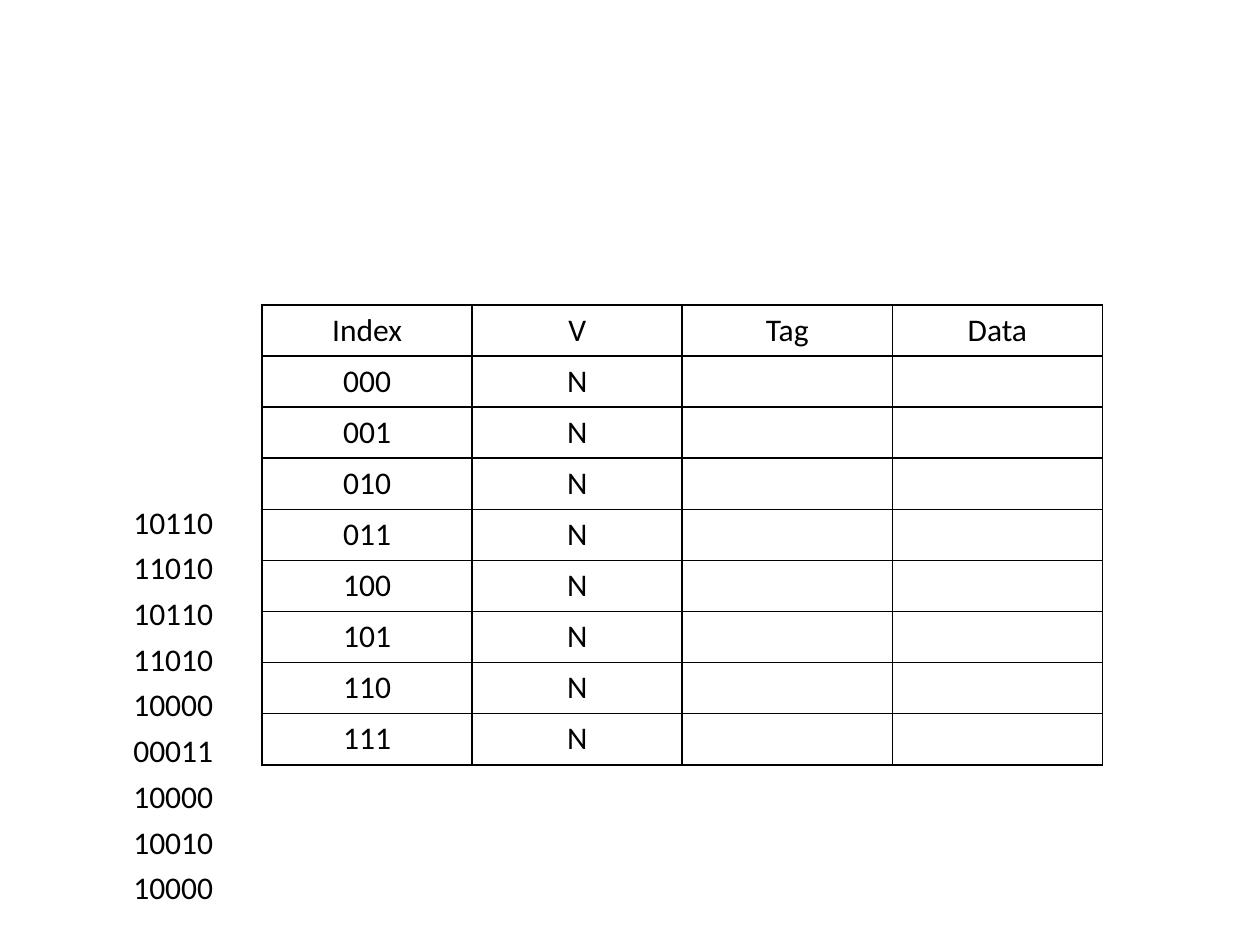
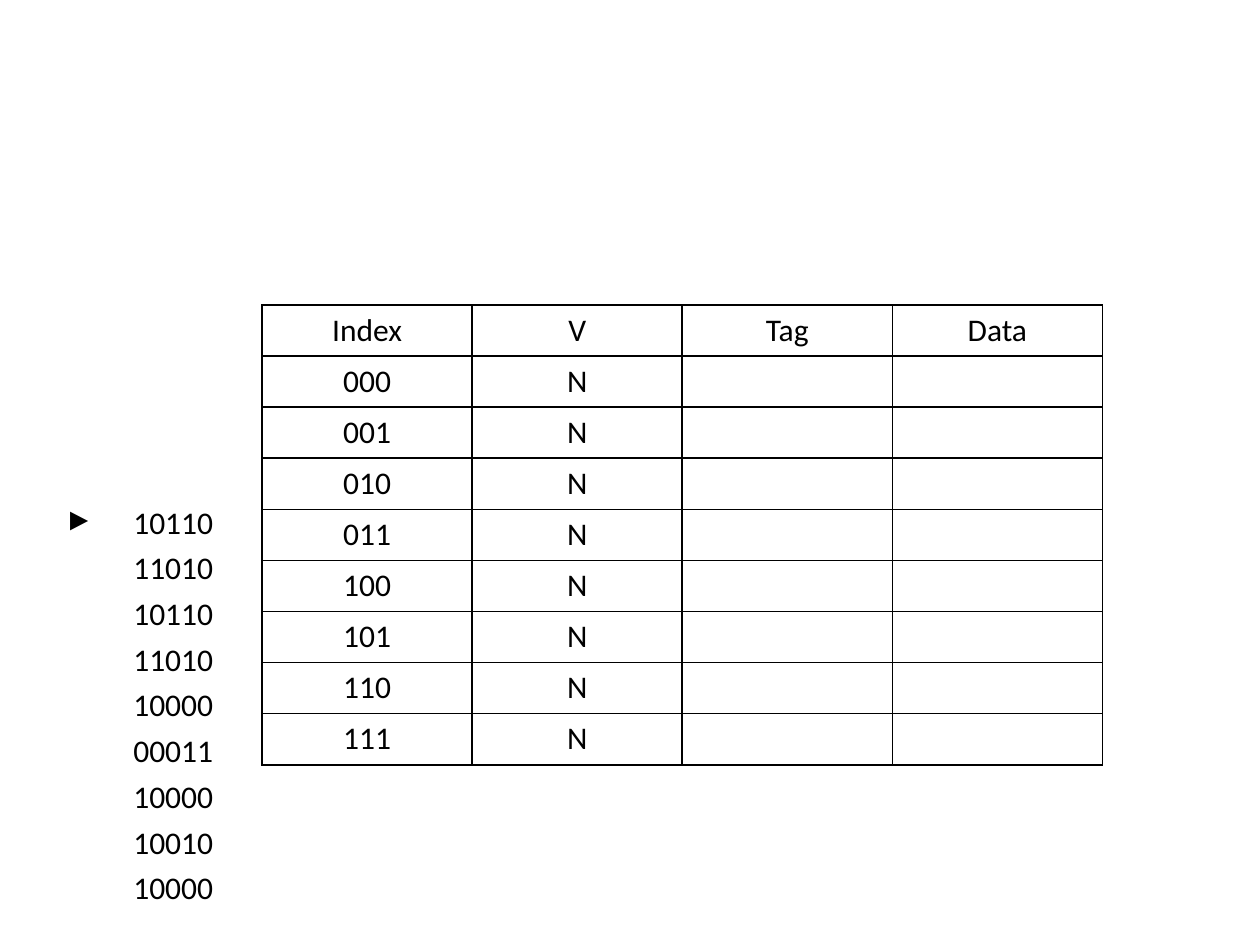
from lxml.etree import SubElement
from pptx import Presentation
from pptx.dml.color import RGBColor
from pptx.enum.text import MSO_ANCHOR, PP_ALIGN
from pptx.oxml.ns import qn
from pptx.util import Inches, Pt

BLACK = "000000"
BODY_FONT = "Calibri"
MARKER_FONT = "Courier New"

CACHE_HEADER = ["Index", "V", "Tag", "Data"]
CACHE_ROWS = [CACHE_HEADER] + [[f"{index:03b}", "N", "", ""] for index in range(8)]
ADDRESSES = ["10110", "11010", "10110", "11010", "10000",
             "00011", "10000", "10010", "10000"]
MARKER = "►"
MARKED_STEPS = [None, 0]  # one slide each: the address row that is marked

CACHE_BOX = (2.08, 2.42, 6.67, 3.65)
ADDRESS_BOX = (0.25, 4, 1.5, 3.27)


def color(hex_string):
    return RGBColor.from_string(hex_string)


def write(cell, text, font=BODY_FONT, size=18, hex_color=BLACK):
    paragraph = cell.text_frame.paragraphs[0]
    paragraph.alignment = PP_ALIGN.CENTER
    paragraph.font.size = Pt(size)
    if not text:
        return
    run = paragraph.add_run()
    run.text = text
    run.font.name = font
    run.font.size = Pt(size)
    run.font.bold = False
    run.font.color.rgb = color(hex_color)


def add_borders(cell, width=1, hex_color=BLACK):
    properties = cell._tc.get_or_add_tcPr()
    for side in ("lnL", "lnR", "lnT", "lnB"):
        line = SubElement(properties, qn(f"a:{side}"), w=str(Pt(width)))
        fill = SubElement(line, qn("a:solidFill"))
        SubElement(fill, qn("a:srgbClr"), val=hex_color)


def add_grid(slide, rows, box, bordered=False, margin=None):
    """Add a plain table with equal rows and equal columns that fill the box."""
    left, top, width, height = box
    table = slide.shapes.add_table(len(rows), len(rows[0]), Inches(left), Inches(top),
                                   Inches(width), Inches(height)).table
    table.first_row = False
    table.horz_banding = False
    for row, texts in zip(table.rows, rows):
        row.height = Inches(height / len(rows))
        for cell, text in zip(row.cells, texts):
            if bordered:
                add_borders(cell)
            cell.fill.background()
            cell.vertical_anchor = MSO_ANCHOR.TOP
            if margin is not None:
                cell.margin_left = cell.margin_right = Inches(margin)
                cell.margin_top = cell.margin_bottom = Inches(margin)
            write(cell, text, font=MARKER_FONT if text == MARKER else BODY_FONT)


def add_cache_slide(presentation, marked_step):
    slide = presentation.slides.add_slide(presentation.slide_layouts[6])
    address_rows = [[MARKER if step == marked_step else "", address]
                    for step, address in enumerate(ADDRESSES)]
    add_grid(slide, CACHE_ROWS, CACHE_BOX, bordered=True)
    add_grid(slide, address_rows, ADDRESS_BOX, margin=0)


def main():
    presentation = Presentation()
    presentation.slide_width = Inches(10)
    presentation.slide_height = Inches(7.5)
    for marked_step in MARKED_STEPS:
        add_cache_slide(presentation, marked_step)
    presentation.save("out.pptx")


if __name__ == "__main__":
    main()
